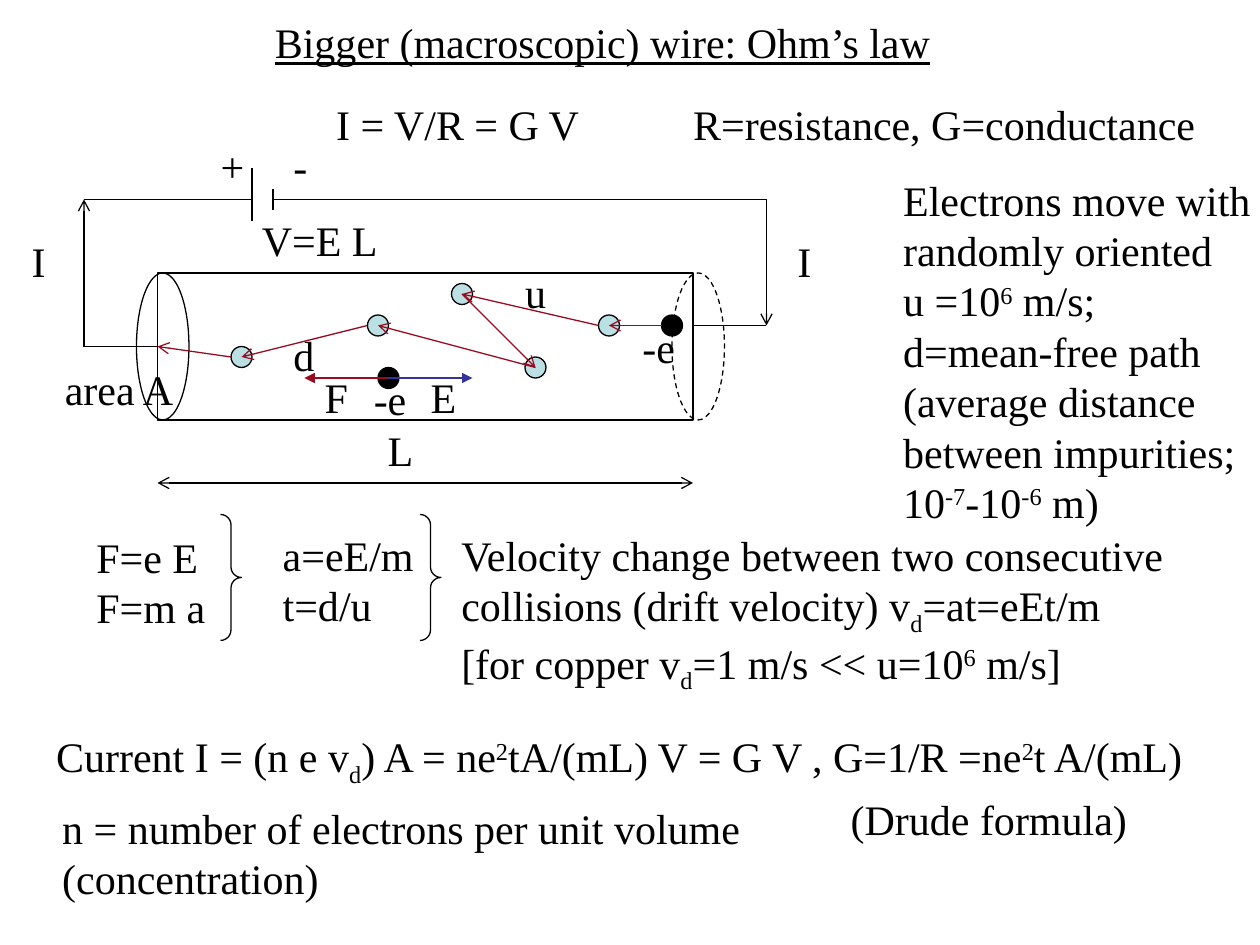
from lxml import etree
from pptx import Presentation
from pptx.dml.color import RGBColor
from pptx.enum.dml import MSO_LINE
from pptx.enum.shapes import MSO_CONNECTOR, MSO_SHAPE
from pptx.enum.text import MSO_AUTO_SIZE
from pptx.oxml.ns import qn
from pptx.util import Pt

STRAIGHT = MSO_CONNECTOR.STRAIGHT
RECTANGLE, OVAL, BRACE = MSO_SHAPE.RECTANGLE, MSO_SHAPE.OVAL, MSO_SHAPE.RIGHT_BRACE
DASH = MSO_LINE.DASH
FIT_TEXT = MSO_AUTO_SIZE.SHAPE_TO_FIT_TEXT

COLORS = {"black": "000000", "impurity": "BBE0E3", "path": "990B21", "field": "333399"}
FORMAT = {"name": "Times New Roman", "size": Pt(24)}
SUPER, SUB = 30000, -25000
LINE_HEIGHT, INSETS = 28.8, 7.2
FORMULA_TAB = 204
DOT = 12

# Texts: left, top, width, paragraphs; a paragraph is a list of runs,
# and a raised or lowered run is a (text, baseline) pair
TITLE = (150, 6, 391, [["Bigger (macroscopic) wire: Ohm’s law"]])
FORMULA = (185, 52.5, 506, [["I = V/R = G V\tR=resistance, G=conductance"]])
LABELS = [
    (142.5, 119, 82, [["V=E L"]]),
    (11, 131, 23, [["I"]]),
    (448.5, 131, 23, [["I"]]),
    (360, 180, 34, [["-e"]]),
    (214.5, 239, 30, [["L"]]),
    (160.5, 185, 27, [["d"]]),
    (119, 77, 29, [["+"]]),
    (160.5, 77, 23, [["-"]]),
    (30, 204, 79, [["area A"]]),
    (239, 209, 30, [["E"]]),
    (178.5, 209, 28, [["F"]]),
    (206.5, 210, 34, [["-e"]]),
    (293, 149, 27, [["u"]]),
]
EXPLANATIONS = [
    (48, 300, 78, [["F=e E"], ["F=m a"]]),
    (154.5, 299, 91, [["a=eE/m"], ["t=d/u"]]),
    (509, 96, 214, [
        ["Electrons move with"],
        ["randomly oriented"],
        ["u =10", ("6", SUPER), " m/s;"],
        ["d=mean-free path"],
        ["(average distance"],
        ["between impurities;"],
        ["10", ("-7", SUPER), "-10", ("-6", SUPER), " m)"],
    ]),
    (256.5, 299, 420, [
        ["Velocity change between two consecutive"],
        ["collisions (drift velocity) v", ("d", SUB), "=at=eEt/m"],
        ["[for copper v", ("d", SUB), "=1 m/s << u=10", ("6", SUPER), " m/s]"],
    ]),
    (25, 414, 671, [
        ["Current I = (n e v", ("d", SUB), ") A = ne", ("2", SUPER),
         "tA/(mL) V = G V , G=1/R =ne", ("2", SUPER), "t A/(mL)"],
    ]),
    (479, 450, 174, [["(Drude formula)"]]),
    (28.5, 455, 404, [["n = number of electrons per unit volume"], ["(concentration)"]]),
]

# Wire and circuit
WIRE_LEFT, WIRE_RIGHT, WIRE_TOP, WIRE_HEIGHT = 90, 396, 156, 84
END_WIDTH = 30
CIRCUIT = [  # start, end, arrowheads
    ((90, 198), (48, 198), ()),
    ((48, 198), (48, 114), ("tailEnd",)),
    ((48, 114), (144, 114), ()),
    ((144, 96), (144, 126), ()),
    ((156, 108), (156, 120), ()),
    ((156, 114), (438, 114), ()),
    ((438, 114), (438, 186), ("tailEnd",)),
    ((396, 186), (438, 186), ()),
    ((90, 276), (396, 276), ("headEnd", "tailEnd")),
]

# Centres of the dots, and the electron's zigzag between them
IMPURITIES = [(138, 204), (264, 168), (216, 186), (306, 210), (348, 186)]
MOVING_ELECTRON, PUSHED_ELECTRON = (384, 186), (222, 216)
PATH = [
    ((378, 186), (348, 186)),
    ((342, 186), (264, 168)),
    ((264, 168), (306, 210)),
    ((306, 210), (216, 186)),
    ((210, 186), (138, 204)),
    ((132, 204), (90, 198)),
]
VECTORS = [((270, 216), "field"), ((174, 216), "path")]
BRACES = [126, 240]
BRACE_TOP, BRACE_WIDTH, BRACE_HEIGHT = 294, 12, 72


def color(name):
    return RGBColor.from_string(COLORS[name])


def add_text(slide, left, top, width, paragraphs, underline=None, tab=None):
    height = len(paragraphs) * LINE_HEIGHT + INSETS
    frame = slide.shapes.add_textbox(Pt(left), Pt(top), Pt(width), Pt(height)).text_frame
    frame.word_wrap = False
    frame.auto_size = FIT_TEXT
    for index, runs in enumerate(paragraphs):
        paragraph = frame.add_paragraph() if index else frame.paragraphs[0]
        if tab:
            tabs = etree.SubElement(paragraph._p.get_or_add_pPr(), qn("a:tabLst"))
            etree.SubElement(tabs, qn("a:tab"), pos=str(Pt(tab)), algn="l")
        for part in runs:
            text, baseline = part if isinstance(part, tuple) else (part, 0)
            run = paragraph.add_run()
            run.text = text
            for key, value in FORMAT.items():
                setattr(run.font, key, value)
            run.font.underline = underline
            run.font.color.rgb = color("black")
            if baseline:
                run._r.get_or_add_rPr().set("baseline", str(baseline))


def add_shape(slide, kind, left, top, width, height, fill=None):
    shape = slide.shapes.add_shape(kind, Pt(left), Pt(top), Pt(width), Pt(height))
    shape.shadow.inherit = False
    if fill:
        shape.fill.solid()
        shape.fill.fore_color.rgb = color(fill)
    else:
        shape.fill.background()
    shape.line.color.rgb = color("black")
    shape.line.width = Pt(0.75)
    return shape


def add_dot(slide, center, fill):
    x, y = center
    add_shape(slide, OVAL, x - DOT / 2, y - DOT / 2, DOT, DOT, fill)


def add_line(slide, start, end, heads=(), name="black", width=0.75, head_type="arrow"):
    points = [Pt(value) for value in (*start, *end)]
    connector = slide.shapes.add_connector(STRAIGHT, *points)
    connector.line.color.rgb = color(name)
    connector.line.width = Pt(width)
    line = connector.line._get_or_add_ln()
    for head in heads:
        etree.SubElement(line, qn(f"a:{head}"), type=head_type)
    etree.SubElement(connector._element.spPr, qn("a:effectLst"))


def main():
    presentation = Presentation()
    presentation.slide_width, presentation.slide_height = Pt(720), Pt(540)
    slide = presentation.slides.add_slide(presentation.slide_layouts[6])

    # Headings
    add_text(slide, *TITLE, underline=True)
    add_text(slide, *FORMULA, tab=FORMULA_TAB)

    # Wire with its two end faces, and the circuit around it
    add_shape(slide, RECTANGLE, WIRE_LEFT, WIRE_TOP, WIRE_RIGHT - WIRE_LEFT, WIRE_HEIGHT)
    add_shape(slide, OVAL, WIRE_LEFT - 12, WIRE_TOP, END_WIDTH, WIRE_HEIGHT)
    far_end = add_shape(slide, OVAL, WIRE_RIGHT - 12, WIRE_TOP, END_WIDTH, WIRE_HEIGHT)
    far_end.line.dash_style = DASH
    for start, end, heads in CIRCUIT:
        add_line(slide, start, end, heads)

    # Impurities, electrons and their motion
    for center in IMPURITIES:
        add_dot(slide, center, "impurity")
    for center in (MOVING_ELECTRON, PUSHED_ELECTRON):
        add_dot(slide, center, "black")
    for start, end in PATH:
        add_line(slide, start, end, ("tailEnd",), "path")
    for end, name in VECTORS:
        add_line(slide, PUSHED_ELECTRON, end, ("tailEnd",), name, 1.5, "triangle")

    # Braces and remaining texts
    for left in BRACES:
        brace = add_shape(slide, BRACE, left, BRACE_TOP, BRACE_WIDTH, BRACE_HEIGHT)
        brace.adjustments[0] = 0.5
    for text in LABELS + EXPLANATIONS:
        add_text(slide, *text)

    presentation.save("out.pptx")


if __name__ == "__main__":
    main()
